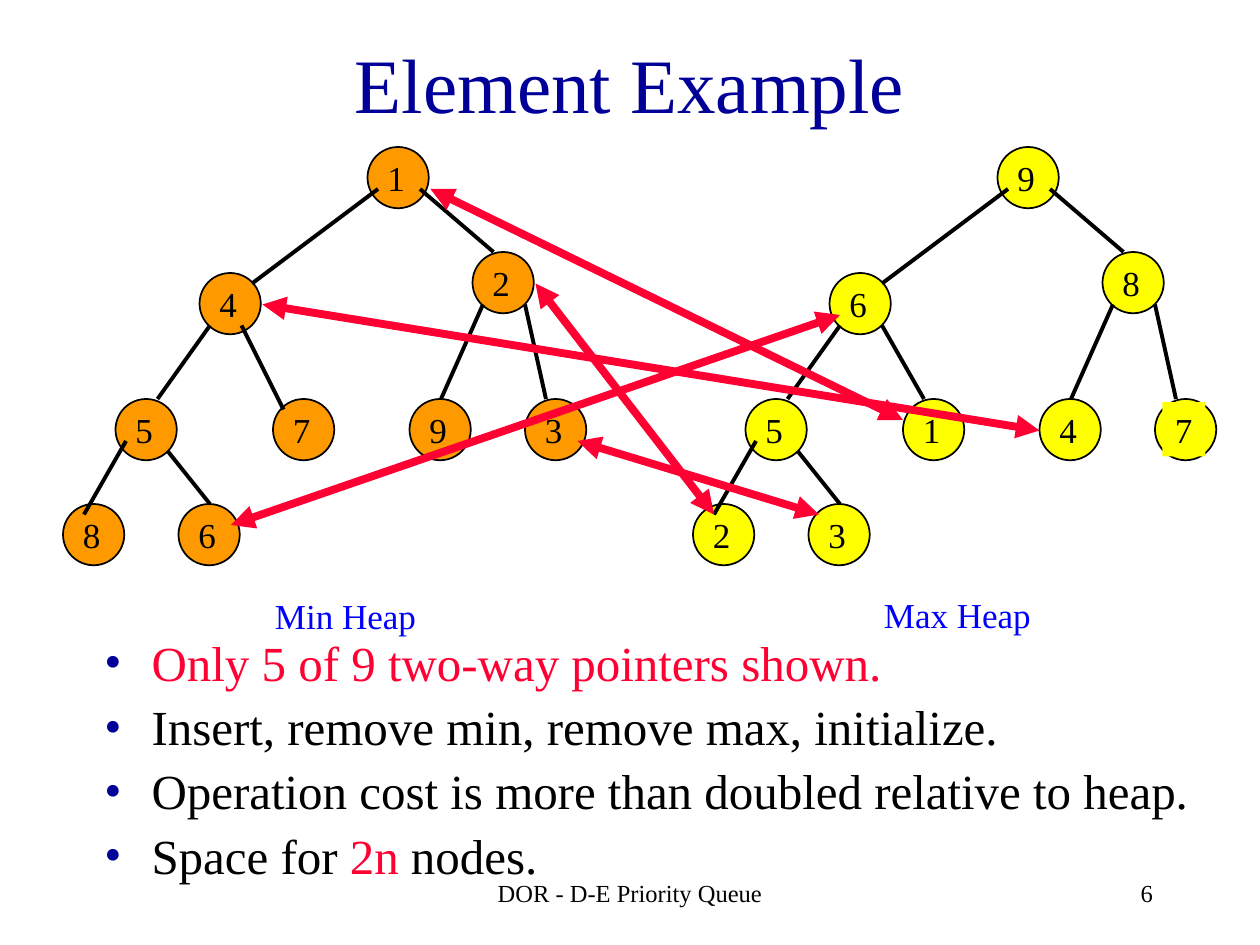
from lxml.etree import SubElement as Sub
from pptx import Presentation
from pptx.dml.color import RGBColor as RGB
from pptx.enum.shapes import MSO_CONNECTOR as Conn, MSO_SHAPE as Form
from pptx.enum.text import MSO_ANCHOR as Anchor, MSO_AUTO_SIZE as Auto, PP_ALIGN as Align
from pptx.oxml.ns import qn
from pptx.util import Pt

COLORS = {"navy": "000099", "red": "FF0033", "black": "000000", "blue": "0000FF",
          "orange": "FF9900", "yellow": "FFFF00"}
SIZE = 35  # node diameter

# Left and top of each node, top level first
NODES = [(210, 84), (114, 156), (270, 144), (66, 228), (156, 228), (234, 228),
         (300, 228), (36, 288), (102, 288)]
EDGES = [(216, 108, 144, 162), (120, 186, 90, 228), (72, 252, 48, 294),
         (96, 258, 120, 288), (240, 108, 282, 144), (276, 174, 252, 228),
         (300, 174, 312, 228)]
# Each heap: offset, fill, keys, inner edge, label, label place
HEAPS = [(0, "orange", "142579386", (138, 186, 162, 234), "Min Heap", (150, 336)),
         (360, "yellow", "968514723", (144, 186, 168, 228), "Max Heap", (498, 335.5))]
LINKS = [(246, 108, 516, 240), (306, 162, 408, 294), (330, 252, 468, 294),
         (150, 174, 594, 246), (132, 300, 480, 180)]
POINTS = [[("Only 5 of 9 two-way pointers shown.", "red")],
          [("Insert, remove min, remove max, initialize.", "black")],
          [("Operation cost is more than doubled relative to heap.", "black")],
          [("Space for ", "black"), ("2n", "red"), (" nodes.", "black")]]


def tint(name):
    return RGB.from_string(COLORS[name])


def assign(obj, **vals):
    for key, val in vals.items():
        setattr(obj, key, val)


class Deck:
    """Holds the text style and the slide being drawn."""

    def __init__(self, slide, face="Times New Roman"):
        self.shapes = slide.shapes
        self.face = face

    def add_run(self, para, text, size, color):
        run = para.add_run()
        run.text = text
        assign(run.font, name=self.face, size=Pt(size))
        run.font.color.rgb = tint(color)

    def frame(self, area, **opts):
        box = self.shapes.add_textbox(*map(Pt, area))
        assign(box.text_frame, **{"word_wrap": True, **opts})
        return box

    def text(self, area, text, size, color, align=Align.LEFT, **opts):
        box = self.frame(area, **opts)
        para = box.text_frame.paragraphs[0]
        para.alignment = align
        self.add_run(para, text, size, color)
        return box

    def bullets(self, area, items, size):
        body = self.frame(area).text_frame
        for num, runs in enumerate(items):
            para = body.add_paragraph() if num else body.paragraphs[0]
            assign(para, line_spacing=0.9, space_before=Pt(6.5 if num else 0))
            props = para._p.get_or_add_pPr()
            props.set("marL", str(Pt(27)))
            props.set("indent", str(Pt(-27)))
            hue = Sub(props, qn("a:buClr"))
            Sub(hue, qn("a:srgbClr"), val=COLORS["navy"])
            Sub(props, qn("a:buFont"), typeface=self.face)
            Sub(props, qn("a:buChar"), char="•")
            for text, color in runs:
                self.add_run(para, text, size, color)

    def node(self, left, top, key, color):
        disc = self.shapes.add_shape(Form.OVAL, *map(Pt, (left, top, SIZE, SIZE)))
        disc.shadow.inherit = False
        disc.fill.solid()
        disc.fill.fore_color.rgb = tint(color)
        disc.line.color.rgb = tint("black")
        disc.line.width = Pt(1)
        return self.text((left + 4.3, top + 1.8, 24.5, 31), key, 20, "black",
                         word_wrap=False, auto_size=Auto.SHAPE_TO_FIT_TEXT)

    def line(self, ends, color, width, arrows=False):
        link = self.shapes.add_connector(Conn.STRAIGHT, *map(Pt, ends))
        link.line.color.rgb = tint(color)
        link.line.width = Pt(width)
        props = link._element.spPr
        if arrows:
            for tag in ("a:headEnd", "a:tailEnd"):
                Sub(props.find(qn("a:ln")), qn(tag), type="triangle")
        Sub(props, qn("a:effectLst"))

    def heap(self, shift, color, keys, inner, label, place):
        for (left, top), key in zip(NODES, keys):
            box = self.node(left + shift, top, key, color)
            if (color, key) == ("yellow", "7"):  # this key has a filled box
                box.fill.solid()
                box.fill.fore_color.rgb = tint(color)
        for x, y, to_x, to_y in EDGES + [inner]:
            self.line((x + shift, y, to_x + shift, to_y), "black", 2.25)
        self.text((*place, 126, 31), label, 20, "blue",
                  auto_size=Auto.SHAPE_TO_FIT_TEXT)


def main():
    prs = Presentation()
    assign(prs, slide_width=Pt(720), slide_height=Pt(540))
    deck = Deck(prs.slides.add_slide(prs.slide_layouts[6]))
    mid = {"vertical_anchor": Anchor.MIDDLE}
    deck.text((54, 12, 612, 70), "Element Example", 44, "navy", Align.CENTER, **mid)
    deck.bullets((52.5, 361.5, 636, 138), POINTS, 28)
    for heap in HEAPS:
        deck.heap(*heap)
    for ends in LINKS:
        deck.line(ends, "red", 4.5, arrows=True)
    deck.text((246, 492, 228, 36), "DOR - D-E Priority Queue", 14, "black",
              Align.CENTER, word_wrap=False, **mid)
    deck.text((516, 492, 150, 36), "6", 14, "black", Align.RIGHT,
              word_wrap=False, **mid)
    prs.save("out.pptx")


if __name__ == "__main__":
    main()
